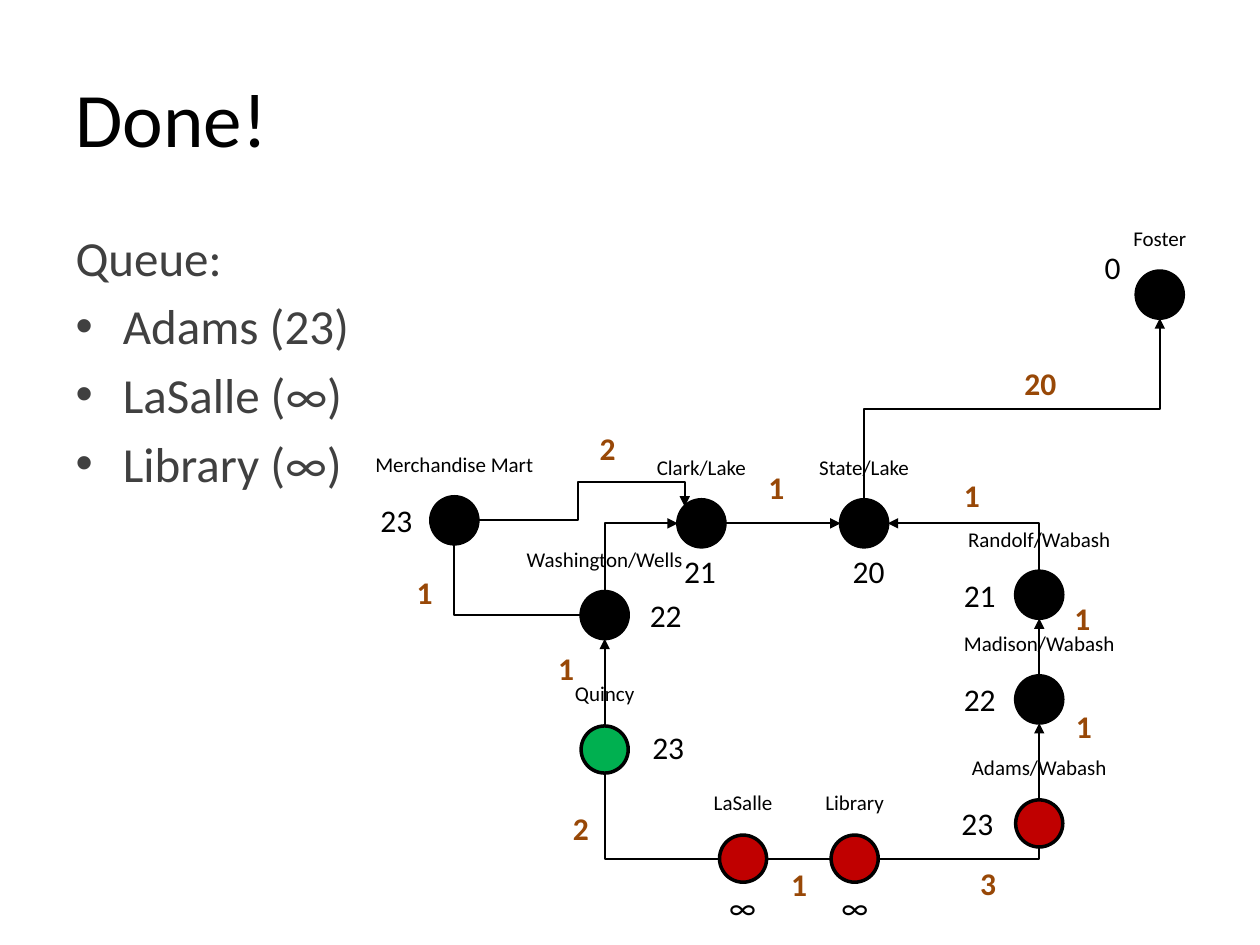
from dataclasses import dataclass
from math import sqrt

from lxml.etree import SubElement
from pptx import Presentation
from pptx.dml.color import RGBColor
from pptx.enum.shapes import MSO_CONNECTOR as Link, MSO_SHAPE as Preset
from pptx.enum.text import MSO_AUTO_SIZE as AutoSize, PP_ALIGN as Align
from pptx.oxml.ns import qn
from pptx.util import Cm, Pt

COLORS = {"black": "000000", "body": "404040", "weight": "984807",
          "done": "000000", "queued": "C00000", "current": "00B050"}
FONT = "Calibri"
DOT = 0.95
DIGIT_WIDTHS = {"∞": 1.07, 1: 0.84, 2: 1.17}

# Glue points of an ellipse: index and direction from the centre
DIAGONAL = 1 / sqrt(2)
SIDES = {"top": (0, 0, -1), "top left": (1, -DIAGONAL, -DIAGONAL),
         "left": (2, -1, 0), "bottom": (4, 0, 1), "right": (6, 1, 0)}


@dataclass
class Station:
    """Centre, label width, distance text with its corner, and state (cm)."""
    name: str
    x: float
    y: float
    label_width: float
    distance: str
    distance_x: float
    distance_y: float
    state: str = "done"


STATIONS = [
    Station("Foster", 23.38, 5.94, 1.93, "0", 22.02, 4.88),
    Station("State/Lake", 17.42, 10.55, 2.84, "20", 16.94, 11),
    Station("Adams/Wabash", 20.95, 16.6, 3.94, "23", 19.13, 16.08, "queued"),
    Station("Madison/Wabash", 20.95, 14.1, 4.34, "22", 19.18, 13.59),
    Station("Randolf/Wabash", 20.95, 11.99, 4.11, "21", 19.18, 11.48),
    Station("Clark/Lake", 14.14, 10.55, 2.82, "21", 13.54, 11),
    Station("Quincy", 12.19, 15.11, 2.08, "23", 12.9, 14.55, "current"),
    Station("LaSalle", 14.98, 17.31, 2.06, "∞", 14.45, 17.78, "queued"),
    Station("Library", 17.23, 17.31, 2.06, "∞", 16.71, 17.78, "queued"),
    Station("Washington/Wells", 12.19, 12.4, 4.47, "22", 12.85, 11.89),
    Station("Merchandise Mart", 9.16, 10.49, 4.52, "23", 7.42, 9.98),
]

WEIGHTS = [
    ("20", 20.4, 7.21), ("1", 19.18, 9.47), ("1", 15.24, 9.32),
    ("3", 19.51, 17.3), ("1", 21.44, 14.12), ("1", 21.41, 11.96),
    ("1", 11, 12.95), ("2", 11.3, 16.18), ("1", 15.7, 17.32),
    ("2", 11.84, 8.53), ("1", 8.15, 11.43),
]

# Begin station and side, end station and side, then the options of track()
BENT_2 = {"bend": "bentConnector2"}
TRACKS = [
    ("Library", "right", "Adams/Wabash", "bottom", BENT_2),
    ("Library", "left", "LaSalle", "right", {}),
    ("LaSalle", "left", "Quincy", "bottom", BENT_2),
    ("Washington/Wells", "left", "Merchandise Mart", "bottom", BENT_2),
    ("Clark/Lake", "right", "State/Lake", "left", {"arrow": "tailEnd"}),
    ("State/Lake", "right", "Randolf/Wabash", "top",
     {**BENT_2, "arrow": "headEnd"}),
    ("Foster", "bottom", "State/Lake", "top",
     {"bend": "bentConnector3", "arrow": "headEnd", "turn": 90,
      "adjust": [0.5]}),
    ("Clark/Lake", "left", "Washington/Wells", "top",
     {**BENT_2, "arrow": "headEnd"}),
    ("Clark/Lake", "top left", "Merchandise Mart", "right",
     {"bend": "bentConnector4", "arrow": "headEnd", "turn": 270,
      "adjust": [-1.8, 0.517]}),
    ("Madison/Wabash", "top", "Randolf/Wabash", "bottom",
     {"arrow": "tailEnd"}),
    ("Quincy", "top", "Washington/Wells", "bottom", {"arrow": "tailEnd"}),
    ("Adams/Wabash", "top", "Madison/Wabash", "bottom",
     {"arrow": "tailEnd"}),
]


def rgb(name):
    return RGBColor.from_string(COLORS[name])


class RouteMap:
    def __init__(self, page):
        self.page = page
        self.dots = {}

    def style(self, para, size, color, bold=False):
        for span in para.runs:
            span.font.name = FONT
            span.font.size = Pt(size)
            span.font.bold = bold
            span.font.color.rgb = rgb(color)

    def place(self, box, left, top, width, height):
        box.left, box.top = Cm(left), Cm(top)
        box.width, box.height = Cm(width), Cm(height)

    def title(self, text):
        box = self.page.shapes.title
        self.place(box, 1.27, 0.76, 22.86, 3.18)
        box.text_frame.text = text
        para = box.text_frame.paragraphs[0]
        para.alignment = Align.LEFT
        self.style(para, 44, "black")

    def queue(self, heading, entries):
        box = self.page.placeholders[1]
        self.place(box, 1.27, 4.45, 11.23, 13.89)
        box.text_frame.text = "\n".join([heading, *entries])
        for para in box.text_frame.paragraphs:
            self.style(para, 28, "body")
        settings = box.text_frame.paragraphs[0]._p.get_or_add_pPr()
        settings.set("marL", "0")
        settings.set("indent", "0")
        SubElement(settings, qn("a:buNone"))

    def text(self, text, left, top, width, height, size, color="black",
             bold=False, align=Align.LEFT):
        box = self.page.shapes.add_textbox(
            Cm(left), Cm(top), Cm(width), Cm(height))
        frame = box.text_frame
        frame.word_wrap = False
        frame.auto_size = AutoSize.SHAPE_TO_FIT_TEXT
        frame.text = text
        para = frame.paragraphs[0]
        para.alignment = align
        self.style(para, size, color, bold)

    def number(self, text, left, top, color="black", bold=False):
        width = DIGIT_WIDTHS.get(text) or DIGIT_WIDTHS[len(text)]
        self.text(text, left, top, width, 1.02, 18, color, bold)

    def station(self, stop):
        dot = self.page.shapes.add_shape(
            Preset.OVAL, Cm(stop.x - DOT / 2), Cm(stop.y - DOT / 2),
            Cm(DOT), Cm(DOT))
        dot.shadow.inherit = False
        dot.fill.solid()
        dot.fill.fore_color.rgb = rgb(stop.state)
        dot.line.color.rgb = rgb("black")
        dot.line.width = Pt(2)
        self.dots[stop.name] = stop, dot
        self.text(stop.name, stop.x - stop.label_width / 2, stop.y - 1.51,
                  stop.label_width, 0.93, 12, align=Align.CENTER)

    def track(self, begin, begin_side, end, end_side, bend=None, arrow=None,
              turn=0, adjust=()):
        """Join two stations; turn (90 or 270) makes a bend start vertically."""
        points, glue = [], []
        for name, side in ((begin, begin_side), (end, end_side)):
            stop, dot = self.dots[name]
            index, across, down = SIDES[side]
            points.append((stop.x + across * DOT / 2,
                           stop.y + down * DOT / 2))
            glue.append((dot.shape_id, index))
        (x1, y1), (x2, y2) = points
        if turn:
            sign = 1 if turn == 90 else -1
            middle_x, middle_y = (x1 + x2) / 2, (y1 + y2) / 2
            half_x, half_y = sign * (y2 - y1) / 2, sign * (x1 - x2) / 2
            x1, x2 = middle_x - half_x, middle_x + half_x
            y1, y2 = middle_y - half_y, middle_y + half_y
        line = self.page.shapes.add_connector(
            Link.ELBOW if bend else Link.STRAIGHT,
            Cm(x1), Cm(y1), Cm(x2), Cm(y2))
        line.line.color.rgb = rgb("black")
        line.line.width = Pt(1)
        if arrow:
            SubElement(line.line._ln, qn(f"a:{arrow}"), type="triangle")
        element = line._element
        SubElement(element.spPr, qn("a:effectLst"))
        joints = element.find(".//" + qn("p:cNvCxnSpPr"))
        for tag, (shape_id, index) in zip(("a:stCxn", "a:endCxn"), glue):
            SubElement(joints, qn(tag), id=str(shape_id), idx=str(index))
        if turn:
            element.spPr.find(qn("a:xfrm")).set("rot", str(turn * 60000))
        if bend:
            geometry = element.spPr.find(qn("a:prstGeom"))
            geometry.set("prst", bend)
            guides = geometry.find(qn("a:avLst"))
            for number, value in enumerate(adjust, 1):
                SubElement(guides, qn("a:gd"), name=f"adj{number}",
                           fmla=f"val {round(value * 100000)}")


def main():
    deck = Presentation()
    deck.slide_width, deck.slide_height = Cm(25.4), Cm(19.05)
    route_map = RouteMap(deck.slides.add_slide(deck.slide_layouts[1]))
    route_map.title("Done!")
    route_map.queue("Queue:", ["Adams (23)", "LaSalle (∞)", "Library (∞)"])
    for stop in STATIONS:
        route_map.station(stop)
    for text, left, top in WEIGHTS:
        route_map.number(text, left, top, "weight", bold=True)
    for stop in STATIONS:
        route_map.number(stop.distance, stop.distance_x, stop.distance_y)
    for begin, begin_side, end, end_side, options in TRACKS:
        route_map.track(begin, begin_side, end, end_side, **options)
    deck.save("out.pptx")


if __name__ == "__main__":
    main()
